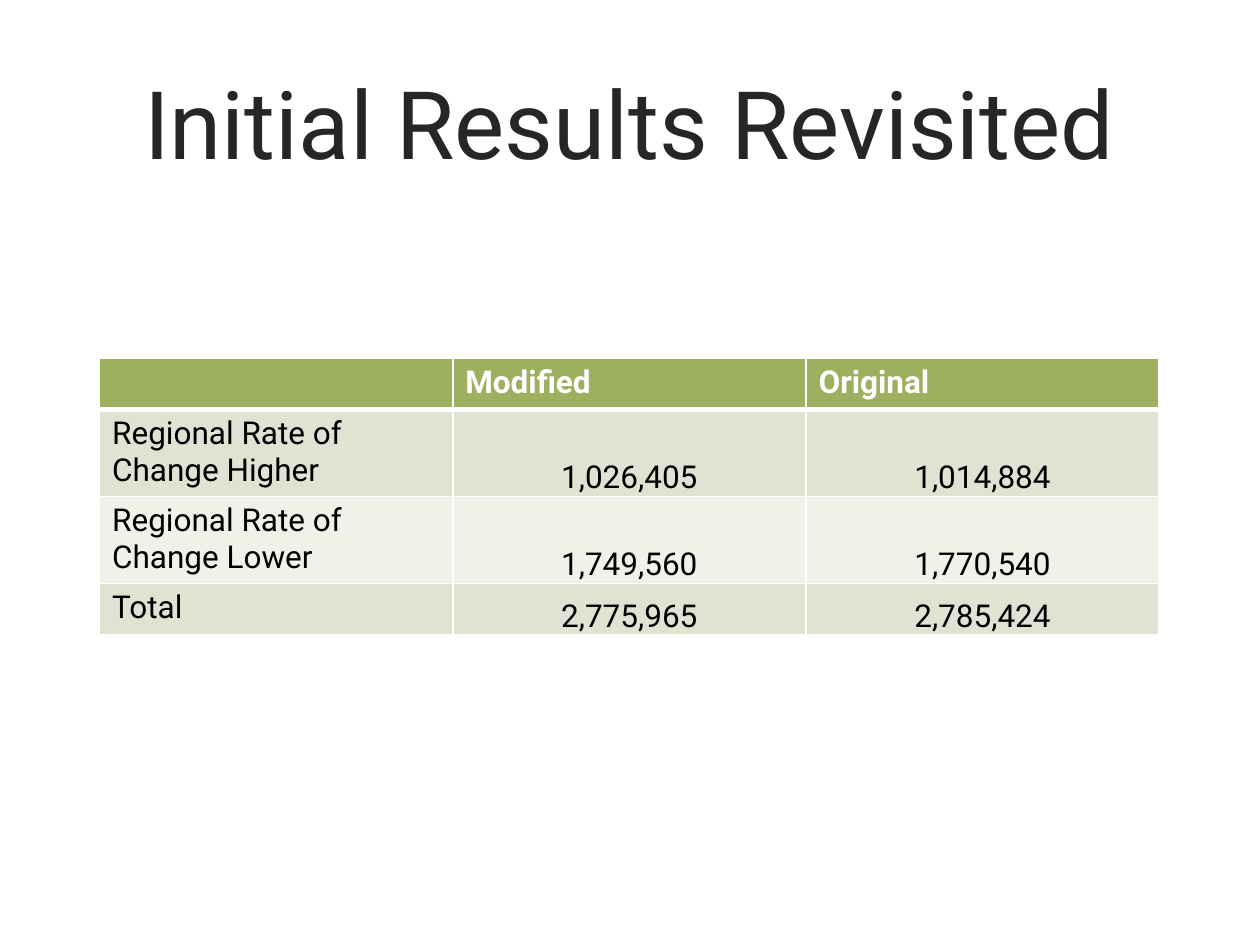
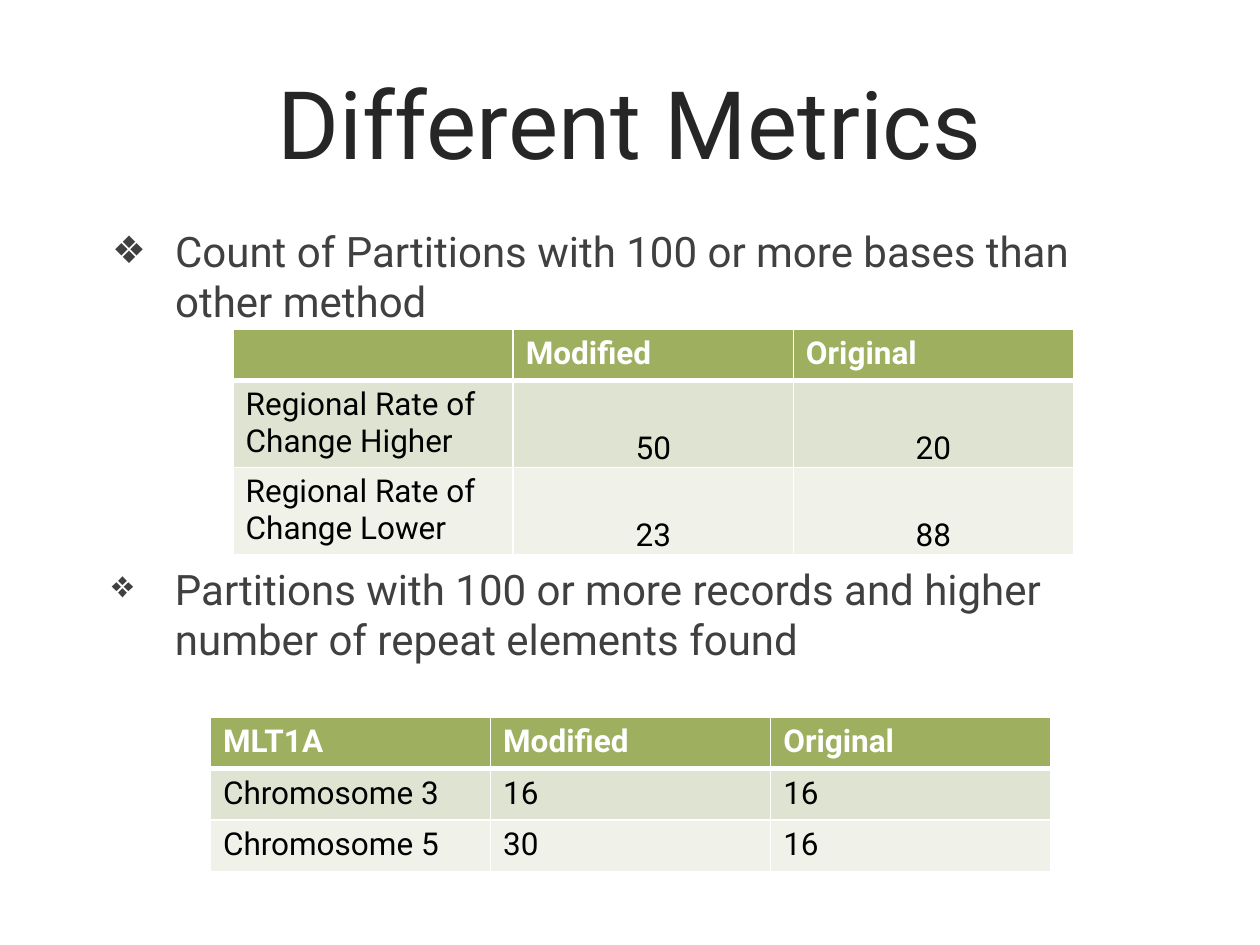
from lxml import etree
from pptx import Presentation
from pptx import util as u
from pptx.dml import color
from pptx.enum import text
from pptx.oxml import ns

COLOURS = {"title": "262626", "body": "404040", "cell": "000000",
           "white": "FFFFFF", "header": "9EB060",
           "band_dark": "DFE4D2", "band_light": "F0F2EA"}
FONT = "Roboto"
COLUMNS, ROWS = 100, 75
MARGIN, CONTENT_WIDTH = 7.9, 84.1
HEADER_ROW, WRAPPED_ROW = 4.1, 6.9
BULLET_INDENT = u.Inches(0.5)
RATE_HIGHER = "Regional Rate of Change Higher"
RATE_LOWER = "Regional Rate of Change Lower"


def rgb(name):
    return color.RGBColor.from_string(COLOURS[name])


def apply(target, values):
    for name, value in values.items():
        setattr(target, name, value)


class SlideBuilder:
    """Holds the deck's style and the current slide."""

    def __init__(self):
        self.deck = Presentation()
        apply(self.deck, {"slide_width": u.Inches(10), "slide_height": u.Inches(7.5)})
        self.page = None

    def x(self, columns):
        return round(self.deck.slide_width * columns / COLUMNS)

    def y(self, rows):
        return round(self.deck.slide_height * rows / ROWS)

    def place(self, shape, left, top, width, height):
        apply(shape, {"left": self.x(left), "top": self.y(top),
                      "width": self.x(width), "height": self.y(height)})

    def add_words(self, frame, words, size, colour, bold=False, align=None):
        para = frame.paragraphs[0]
        para.alignment = align
        span = para.add_run()
        span.text = words
        apply(span.font, {"name": FONT, "size": u.Pt(size), "bold": bold})
        span.font.color.rgb = rgb(colour)
        return para

    def new_page(self, title, layout):
        self.page = self.deck.slides.add_slide(self.deck.slide_layouts.get_by_name(layout))
        box = self.page.shapes.title
        self.place(box, MARGIN, 3.4, CONTENT_WIDTH, 12.5)
        apply(box.text_frame, {"vertical_anchor": text.MSO_ANCHOR.MIDDLE,
                               "auto_size": text.MSO_AUTO_SIZE.NONE})
        self.add_words(box.text_frame, title, 54, "title", align=text.PP_ALIGN.CENTER)

    def bullet(self, box, words, left, top, width, height):
        self.place(box, left, top, width, height)
        apply(box.text_frame, {"word_wrap": True, "auto_size": text.MSO_AUTO_SIZE.NONE,
                               "vertical_anchor": text.MSO_ANCHOR.TOP})
        para = self.add_words(box.text_frame, words, 24, "body", align=text.PP_ALIGN.LEFT)
        para.space_before = u.Pt(24)
        props = para._p.get_or_add_pPr()
        props.set("marL", str(BULLET_INDENT))
        props.set("indent", str(-BULLET_INDENT))
        etree.SubElement(props, ns.qn("a:buSzPct"), val="90000")
        etree.SubElement(props, ns.qn("a:buChar"), char="❖")

    def body(self, words, *area):
        self.bullet(self.page.placeholders[1], words, *area)

    def text_box(self, words, *area):
        self.bullet(self.page.shapes.add_textbox(0, 0, 0, 0), words, *area)

    def borders(self, cell, widths):
        props = cell._tc.get_or_add_tcPr()
        for side, points in widths.items():
            line = etree.SubElement(props, ns.qn("a:ln" + side), w=str(u.Pt(points)))
            fill = etree.SubElement(line, ns.qn("a:solidFill"))
            etree.SubElement(fill, ns.qn("a:srgbClr"), val=COLOURS["white"])

    def table(self, records, left, top, width, heights, centred=True):
        """A header row, then banded rows; centred numbers sit at the cell's foot."""
        count = len(records[0])
        grid = self.page.shapes.add_table(
            len(records), count, self.x(left), self.y(top),
            self.x(width), self.y(sum(heights))).table
        grid.horz_banding = False
        for column in grid.columns:
            column.width = self.x(width / count)
        for r, (record, height) in enumerate(zip(records, heights)):
            grid.rows[r].height = self.y(height)
            header = r == 0
            band = "header" if header else ("band_light", "band_dark")[r % 2]
            for c, words in enumerate(record):
                cell = grid.cell(r, c)
                edges = {"L": 1, "R": 1, "T": 3 if r == 1 else 1, "B": 3 if header else 1}
                self.borders(cell, edges)
                cell.fill.solid()
                cell.fill.fore_color.rgb = rgb(band)
                align = None
                if centred and c and not header:
                    align = text.PP_ALIGN.CENTER
                    inset = u.Inches(0.01)
                    apply(cell, {"vertical_anchor": text.MSO_ANCHOR.BOTTOM,
                                 "margin_left": inset, "margin_right": inset,
                                 "margin_top": inset, "margin_bottom": 0})
                if words:
                    self.add_words(cell.text_frame, words, 18,
                                   "white" if header else "cell", header, align)


def main():
    builder = SlideBuilder()

    # Base totals for both methods
    builder.new_page("Initial Results Revisited", "Title Only")
    builder.table([("", "Modified", "Original"),
                   (RATE_HIGHER, "1,026,405", "1,014,884"),
                   (RATE_LOWER, "1,749,560", "1,770,540"),
                   ("Total", "2,775,965", "2,785,424")],
                  MARGIN, 28.4, CONTENT_WIDTH,
                  [HEADER_ROW, WRAPPED_ROW, WRAPPED_ROW, HEADER_ROW])

    # Partition counts
    builder.new_page("Different Metrics", "Title and Content")
    builder.body("Count of Partitions with 100 or more bases than other method",
                 MARGIN, 17.4, CONTENT_WIDTH, 28.5)
    builder.table([("", "Modified", "Original"),
                   (RATE_HIGHER, "50", "20"),
                   (RATE_LOWER, "23", "88")],
                  18.5, 26.1, 66.7, [HEADER_ROW, WRAPPED_ROW, WRAPPED_ROW])

    # Repeat elements by chromosome
    builder.text_box("Partitions with 100 or more records and higher "
                     "number of repeat elements found", MARGIN, 44.2, 85.9, 16.5)
    builder.table([("MLT1A", "Modified", "Original"),
                   ("Chromosome 3", "16", "16"),
                   ("Chromosome 5", "30", "16")],
                  16.7, 56.9, 66.7, [HEADER_ROW] * 3, centred=False)

    builder.deck.save("out.pptx")


if __name__ == "__main__":
    main()
